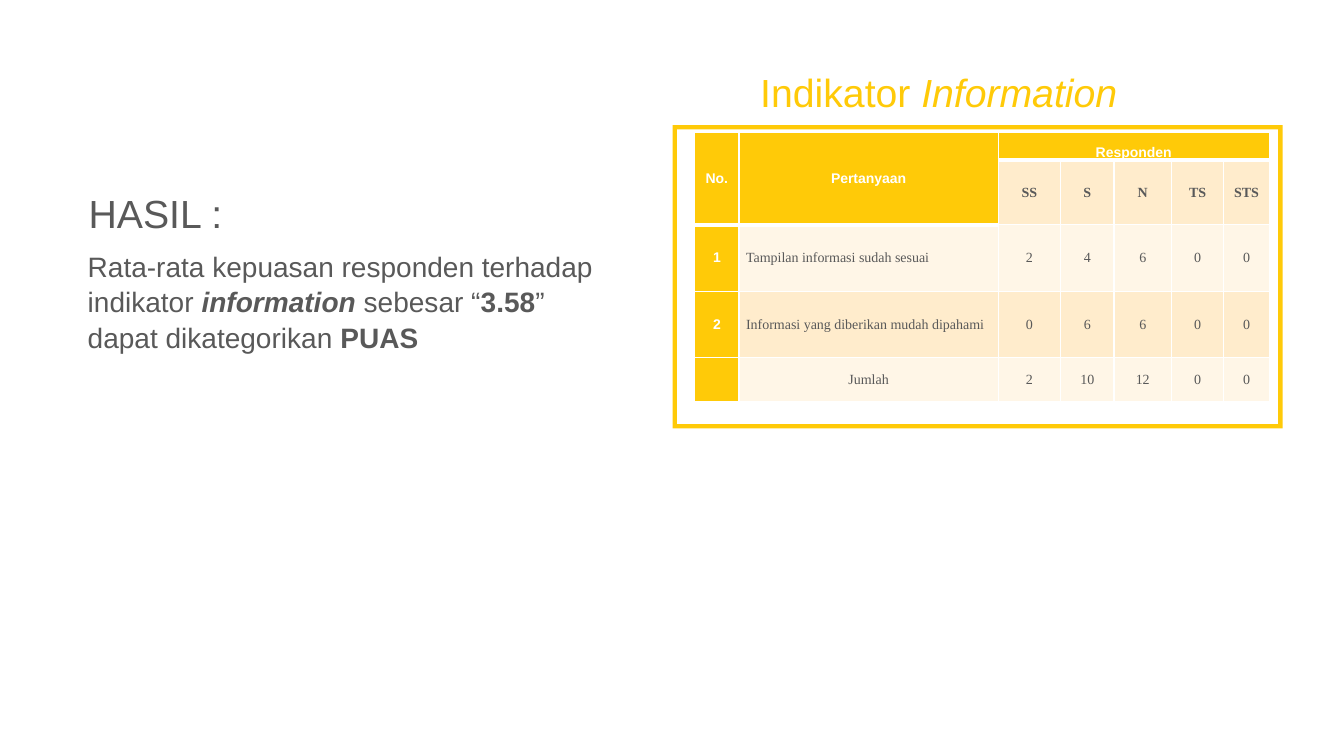
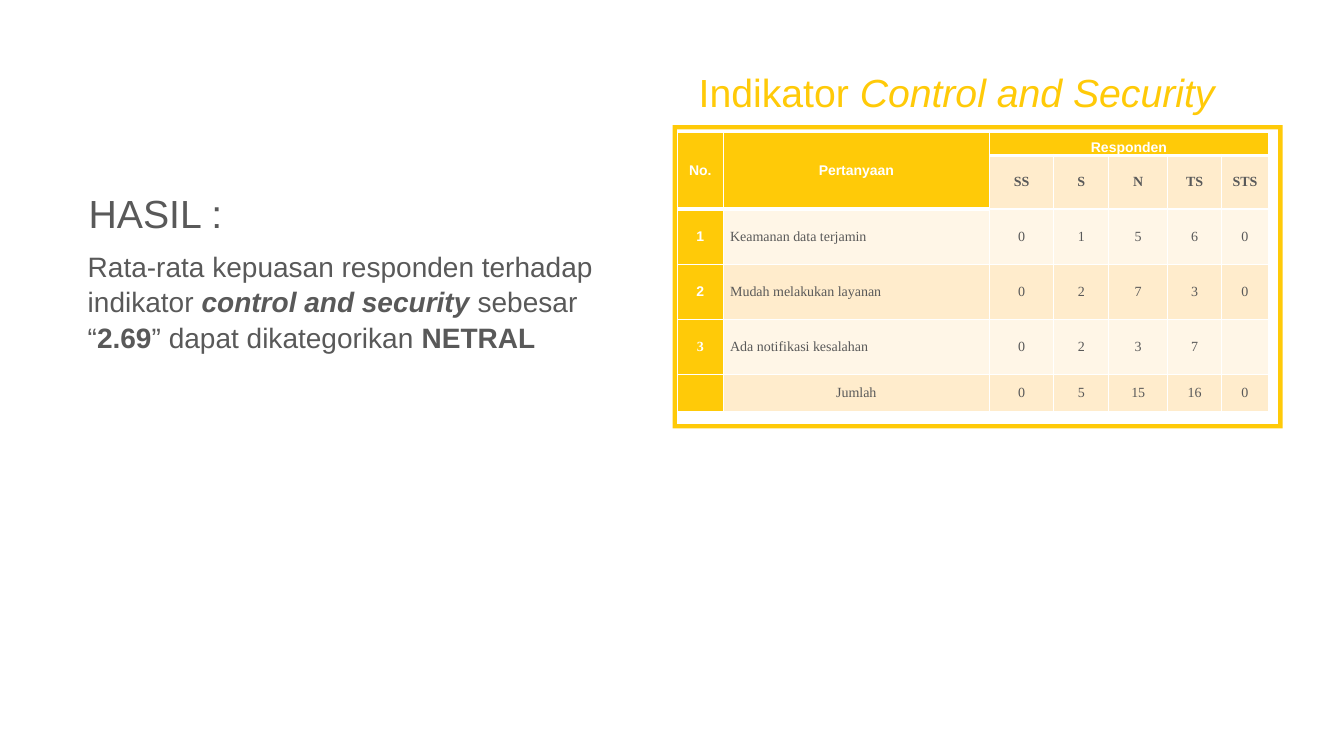
from dataclasses import dataclass

from pptx import Presentation
from pptx.dml.color import RGBColor
from pptx.enum.shapes import MSO_SHAPE
from pptx.enum.text import MSO_ANCHOR, MSO_AUTO_SIZE, PP_ALIGN
from pptx.oxml import parse_xml
from pptx.oxml.ns import nsdecls
from pptx.util import Inches, Pt

FRAME = MSO_SHAPE.FRAME
TOP, MIDDLE, BOTTOM = MSO_ANCHOR.TOP, MSO_ANCHOR.MIDDLE, MSO_ANCHOR.BOTTOM
LEFT, CENTER = PP_ALIGN.LEFT, PP_ALIGN.CENTER
GROW = MSO_AUTO_SIZE.SHAPE_TO_FIT_TEXT
TWO_CONTENT_LAYOUT = 3


@dataclass(frozen=True)
class Theme:
    accent: str = "FFCA08"
    text: str = "595959"
    white: str = "FFFFFF"
    dark_band: str = "FFECCC"
    light_band: str = "FFF6E7"
    sans: str = "Arial"
    serif: str = "Times New Roman"
    heading_size: int = 28
    body_size: int = 20
    table_size: int = 10
    line_spacing: float = 1.05
    thin_border: int = 1
    thick_border: int = 3


@dataclass(frozen=True)
class IndicatorPage:
    indicator: str
    title_left: float
    score: str
    category: str
    table_left: float
    table_width: float
    row_scale: float
    questions: tuple
    totals: tuple
    serif_numbers: tuple = ()


THEME = Theme()
TITLE_RIGHT = 12.62
TABLE_TOP = 1.31
ANSWERS = ("SS", "S", "N", "TS", "STS")
COLUMN_SHARES = (0.44, 2.57, 0.62, 0.53, 0.57, 0.52, 0.45)
GROUP_ROW, ANSWER_ROW, QUESTION_ROW, TOTAL_ROW = 0.28, 0.64, 0.66, 0.44

PAGES = (
    IndicatorPage(
        indicator="Information", title_left=7.49, score="3.58", category="PUAS",
        table_left=6.89, table_width=5.7, row_scale=1,
        questions=(
            ("Tampilan informasi sudah sesuai", 2, 4, 6, 0, 0),
            ("Informasi yang diberikan mudah dipahami", 0, 6, 6, 0, 0),
        ),
        totals=(2, 10, 12, 0, 0),
    ),
    IndicatorPage(
        indicator="Control and Security", title_left=6.88, score="2.69", category="NETRAL",
        table_left=6.72, table_width=5.86, row_scale=0.83,
        questions=(
            ("Keamanan data terjamin", 0, 1, 5, 6, 0),
            ("Mudah melakukan layanan", 0, 2, 7, 3, 0),
            ("Ada notifikasi kesalahan", 0, 2, 3, 7, ""),
        ),
        totals=(0, 5, 15, 16, 0),
        serif_numbers=("3",),
    ),
)


def color(value):
    return RGBColor.from_string(value)


def add_run(para, text, size, ink, face=THEME.sans, bold=False, italic=False):
    span = para.add_run()
    span.text = text
    font = span.font
    font.name, font.size, font.bold, font.italic = face, Pt(size), bold, italic
    font.color.rgb = color(ink)


def fill_placeholder(box, area, side_margins, anchor, size, ink, spans):
    """Place a placeholder and write one unbulleted paragraph of (text, bold, italic) spans."""
    box.left, box.top, box.width, box.height = (Inches(value) for value in area)
    frame = box.text_frame
    frame.word_wrap = True
    frame.auto_size = GROW
    frame.vertical_anchor = anchor
    frame.margin_left, frame.margin_right = (Inches(value) for value in side_margins)
    frame.margin_top = frame.margin_bottom = 0
    para = frame.paragraphs[0]
    properties = para._p.get_or_add_pPr()
    properties.set("marL", "0")
    properties.set("indent", "0")
    properties.append(parse_xml(f"<a:buNone {nsdecls('a')}/>"))
    para.alignment = LEFT
    para.line_spacing = THEME.line_spacing
    para.space_before = Pt(0)
    for text, bold, italic in spans:
        add_run(para, text, size, ink, bold=bold, italic=italic)


def add_frame_to_layout(layout, slide):
    """Draw the table frame once and move it to the layout, behind every slide."""
    frame = slide.shapes.add_shape(FRAME, Inches(6.67), Inches(1.24), Inches(6.05), Inches(3.01))
    frame.adjustments[0] = 0.014
    frame.shadow.inherit = False
    frame.fill.solid()
    frame.fill.fore_color.rgb = color(THEME.accent)
    frame.line.fill.background()
    frame.element.nvSpPr.cNvPr.set("id", "20")
    layout.shapes.element.insert(2, frame.element)


def set_borders(cell, **widths):
    properties = cell._tc.get_or_add_tcPr()
    for side in "LRTB":
        properties.append(parse_xml(
            f'<a:ln{side} {nsdecls("a")} w="{Pt(widths.get(side, THEME.thin_border))}">'
            f'<a:solidFill><a:srgbClr val="{THEME.white}"/></a:solidFill></a:ln{side}>'
        ))


def is_header(row, column):
    return row == 0 or (row == 1 and column < 2)


def style_cell(cell, row, column):
    """Set the borders, fill and margins that follow from a cell's place."""
    heavy = {}
    if is_header(row, column):
        heavy["B"] = THEME.thick_border
    elif row and is_header(row - 1, column):
        heavy["T"] = THEME.thick_border
    set_borders(cell, **heavy)
    if is_header(row, column) or column == 0:
        fill = THEME.accent
    else:
        fill = THEME.dark_band if row % 2 else THEME.light_band
    cell.fill.solid()
    cell.fill.fore_color.rgb = color(fill)
    cell.margin_left = cell.margin_right = Inches(0.07)
    cell.margin_top = cell.margin_bottom = 0
    cell.vertical_anchor = BOTTOM if row == 0 and column >= 2 else MIDDLE


def write_cell(cell, text, row, column, serif_numbers):
    on_accent = is_header(row, column) or column == 0
    is_question = column == 1 and row >= 2 and text != "Jumlah"
    para = cell.text_frame.paragraphs[0]
    para.alignment = LEFT if is_question else CENTER
    if text == "":
        para.font.size = Pt(THEME.table_size)
        return
    sans = on_accent and not (column == 0 and text in serif_numbers)
    add_run(para, text, THEME.table_size, THEME.white if on_accent else THEME.text,
            face=THEME.sans if sans else THEME.serif, bold=on_accent or row == 1)


def add_answer_table(slide, page):
    rows = [("No.", "Pertanyaan", "Responden", "", "", "", ""), ("", "", *ANSWERS)]
    rows += [(number, *question) for number, question in enumerate(page.questions, 1)]
    rows.append(("", "Jumlah", *page.totals))
    heights = [GROUP_ROW, ANSWER_ROW, *[QUESTION_ROW] * len(page.questions), TOTAL_ROW]
    heights = [height * page.row_scale for height in heights]
    table = slide.shapes.add_table(
        len(rows), len(COLUMN_SHARES), Inches(page.table_left), Inches(TABLE_TOP),
        Inches(page.table_width), Inches(sum(heights))).table
    table.first_row = table.horz_banding = False
    for column, share in zip(table.columns, COLUMN_SHARES):
        column.width = Inches(page.table_width * share / sum(COLUMN_SHARES))
    for row, height in zip(table.rows, heights):
        row.height = Inches(height)
    for row, values in enumerate(rows):
        for column, value in enumerate(values):
            cell = table.cell(row, column)
            style_cell(cell, row, column)
            write_cell(cell, str(value), row, column, page.serif_numbers)
    for column in (0, 1):
        table.cell(0, column).merge(table.cell(1, column))
    table.cell(0, 2).merge(table.cell(0, len(COLUMN_SHARES) - 1))


def fill_page(slide, page):
    title, heading, result = slide.placeholders
    heading_margins = (0.05, 0.03)
    fill_placeholder(
        title, (page.title_left, 0.65, TITLE_RIGHT - page.title_left, 0.47),
        heading_margins, TOP, THEME.heading_size, THEME.accent,
        [("Indikator ", False, False), (page.indicator, False, True)])
    fill_placeholder(
        heading, (0.83, 1.85, 5.13, 0.47), heading_margins, TOP,
        THEME.heading_size, THEME.text, [("HASIL :", False, False)])
    fill_placeholder(
        result, (0.83, 2.48, 5.17, 1.01), (0.04, 0.04), MIDDLE,
        THEME.body_size, THEME.text, [
            ("Rata-rata kepuasan responden terhadap indikator ", False, False),
            (page.indicator.lower(), True, True),
            (" sebesar “", False, False),
            (page.score, True, False),
            ("” dapat dikategorikan ", False, False),
            (page.category, True, False),
        ])
    add_answer_table(slide, page)


def main():
    deck = Presentation()
    deck.slide_width, deck.slide_height = Inches(13.33), Inches(7.5)
    layout = deck.slide_layouts[TWO_CONTENT_LAYOUT]
    slides = [deck.slides.add_slide(layout) for _ in PAGES]
    add_frame_to_layout(layout, slides[0])
    for slide, page in zip(slides, PAGES):
        fill_page(slide, page)
    deck.save("out.pptx")


if __name__ == "__main__":
    main()
